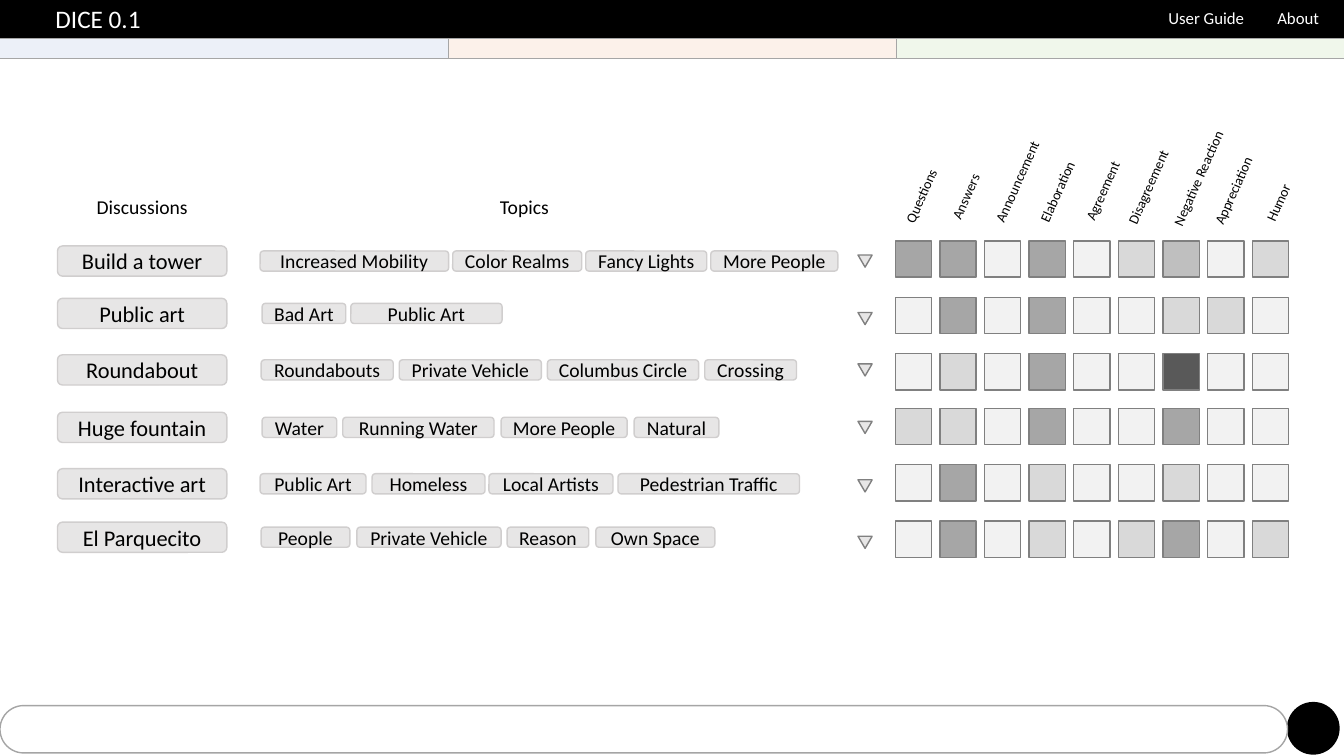
from lxml import etree
from pptx import Presentation
from pptx.dml.color import RGBColor
from pptx.enum.shapes import MSO_SHAPE
from pptx.enum.text import MSO_ANCHOR, MSO_AUTO_SIZE, PP_ALIGN
from pptx.oxml.ns import qn
from pptx.util import Inches, Pt

RECTANGLE = MSO_SHAPE.RECTANGLE
ROUNDED = MSO_SHAPE.ROUNDED_RECTANGLE
TRIANGLE = MSO_SHAPE.ISOSCELES_TRIANGLE
OVAL = MSO_SHAPE.OVAL
MIDDLE = MSO_ANCHOR.MIDDLE
LEFT, CENTER = PP_ALIGN.LEFT, PP_ALIGN.CENTER

presentation = Presentation()
presentation.slide_width = Inches(13.33)
presentation.slide_height = Inches(7.5)
slide = presentation.slides.add_slide(presentation.slide_layouts[5])


def add_box(kind, left, top, width, height, fill, line, line_width=1):
    shape = slide.shapes.add_shape(
        kind, Inches(left), Inches(top), Inches(width), Inches(height))
    shape.shadow.inherit = False
    shape.fill.solid()
    shape.fill.fore_color.rgb = RGBColor.from_string(fill)
    shape.line.color.rgb = RGBColor.from_string(line)
    shape.line.width = Pt(line_width)
    return shape


def write(shape, text, size, color="000000", align=CENTER):
    """Put one unwrapped line of text into a shape."""
    shape.text_frame.word_wrap = False
    paragraph = shape.text_frame.paragraphs[0]
    paragraph.alignment = align
    run = paragraph.add_run()
    run.text = text
    run.font.name = "Calibri"
    run.font.size = Pt(size)
    run.font.color.rgb = RGBColor.from_string(color)


# Header bar
title = slide.shapes.title
title.left, title.top = Inches(0), Inches(0)
title.width, title.height = Inches(13.33), Inches(0.37)
title.fill.solid()
title.fill.fore_color.rgb = RGBColor.from_string("000000")
title.line.color.rgb = RGBColor.from_string("000000")
title.line.width = Pt(1)
title.text_frame.auto_size = MSO_AUTO_SIZE.NONE
title.text_frame.vertical_anchor = MIDDLE
title.text_frame.margin_left = Inches(0.55)
write(title, "DICE 0.1", 18, "FFFFFF", LEFT)

# Coloured strip of three tabs
for index, color in enumerate(["DAE3F3", "FBE5D6", "E2F0D9"]):
    tab = add_box(RECTANGLE, index * 4.445, 0.38, 4.445, 0.2, color, "A6A6A6", 0.75)
    tab_color = tab.element.spPr.find(qn("a:solidFill")).find(qn("a:srgbClr"))
    etree.SubElement(tab_color, qn("a:alpha"), val="50000")

# Discussions: name, button top, arrow top, cell top, grey levels, topics (text, left, width)
GREYS = ["F2F2F2", "D9D9D9", "BFBFBF", "A6A6A6", "595959"]
discussions = [
    ("Build a tower", 2.44, 2.53, 2.39, "330301201",
     [("Increased Mobility", 2.58, 1.87), ("Color Realms", 4.49, 1.28),
      ("Fancy Lights", 5.81, 1.2), ("More People", 7.05, 1.26)]),
    ("Public art", 2.96, 3.1, 2.95, "030300110",
     [("Bad Art", 2.6, 0.83), ("Public Art", 3.48, 1.5)]),
    ("Roundabout", 3.52, 3.61, 3.51, "010300400",
     [("Roundabouts", 2.59, 1.31), ("Private Vehicle", 3.96, 1.41),
      ("Columbus Circle", 5.43, 1.5), ("Crossing", 6.99, 0.91)]),
    ("Huge fountain", 4.09, 4.18, 4.05, "110300300",
     [("Water", 2.6, 0.74), ("Running Water", 3.4, 1.5),
      ("More People", 4.97, 1.25), ("Natural", 6.29, 0.84)]),
    ("Interactive art", 4.65, 4.76, 4.61, "030100100",
     [("Public Art", 2.58, 1.05), ("Homeless", 3.69, 1.12),
      ("Local Artists", 4.85, 1.23), ("Pedestrian Traffic", 6.13, 1.8)]),
    ("El Parquecito", 5.18, 5.32, 5.17, "030101301",
     [("People", 2.59, 0.88), ("Private Vehicle", 3.54, 1.43),
      ("Reason", 5.03, 0.81), ("Own Space", 5.91, 1.18)]),
]
for name, button_top, arrow_top, cell_top, levels, topics in discussions:
    button = add_box(ROUNDED, 0.57, button_top, 1.68, 0.3, "E7E6E6", "D0CECE")
    write(button, name, 16)
    for topic, left, width in topics:
        chip = add_box(ROUNDED, left, button_top + 0.05, width, 0.2, "E7E6E6", "D0CECE")
        write(chip, topic, 14)
    arrow = add_box(TRIANGLE, 8.51, arrow_top, 0.14, 0.12, "E7E6E6", "808080")
    arrow.rotation = 180
    for column, level in enumerate(levels):
        add_box(RECTANGLE, 8.88 + column * 0.4425, cell_top, 0.36, 0.36,
                GREYS[int(level)], "808080")

# Menu entries, headings and slanted column labels
SLANT = 294
labels = [
    ("User Guide", 11.49, 0.03, 0.96, 0.3, 12, "FFFFFF", 0),
    ("About", 12.57, 0.03, 0.62, 0.3, 12, "FFFFFF", 0),
    ("Discussions", 0.86, 1.88, 1.12, 0.34, 14, "000000", 0),
    ("Topics", 4.86, 1.88, 0.69, 0.34, 14, "000000", 0),
    ("Questions", 8.75, 1.8, 0.78, 0.27, 10, "000000", SLANT),
    ("Answers", 9.24, 1.81, 0.68, 0.27, 10, "000000", SLANT),
    ("Announcement", 9.55, 1.66, 1.08, 0.27, 10, "000000", SLANT),
    ("Elaboration", 10.06, 1.76, 0.86, 0.27, 10, "000000", SLANT),
    ("Agreement", 10.52, 1.75, 0.84, 0.27, 10, "000000", SLANT),
    ("Disagreement", 10.89, 1.71, 1, 0.27, 10, "000000", SLANT),
    ("Negative Reaction", 11.27, 1.62, 1.24, 0.27, 10, "000000", SLANT),
    ("Appreciation", 11.77, 1.75, 0.93, 0.27, 10, "000000", SLANT),
    ("Humor", 12.38, 1.87, 0.6, 0.27, 10, "000000", SLANT),
]
for text, left, top, width, height, size, color, angle in labels:
    label = slide.shapes.add_textbox(
        Inches(left), Inches(top), Inches(width), Inches(height))
    label.rotation = angle
    label.text_frame.auto_size = MSO_AUTO_SIZE.SHAPE_TO_FIT_TEXT
    write(label, text, size, color, LEFT)

# Input bar with round button
add_box(OVAL, 12.77, 6.97, 0.51, 0.51, "000000", "000000")
input_bar = add_box(ROUNDED, 0, 7, 12.77, 0.47, "FFFFFF", "A5A5A5")
input_bar.adjustments[0] = 0.5

presentation.save("out.pptx")
